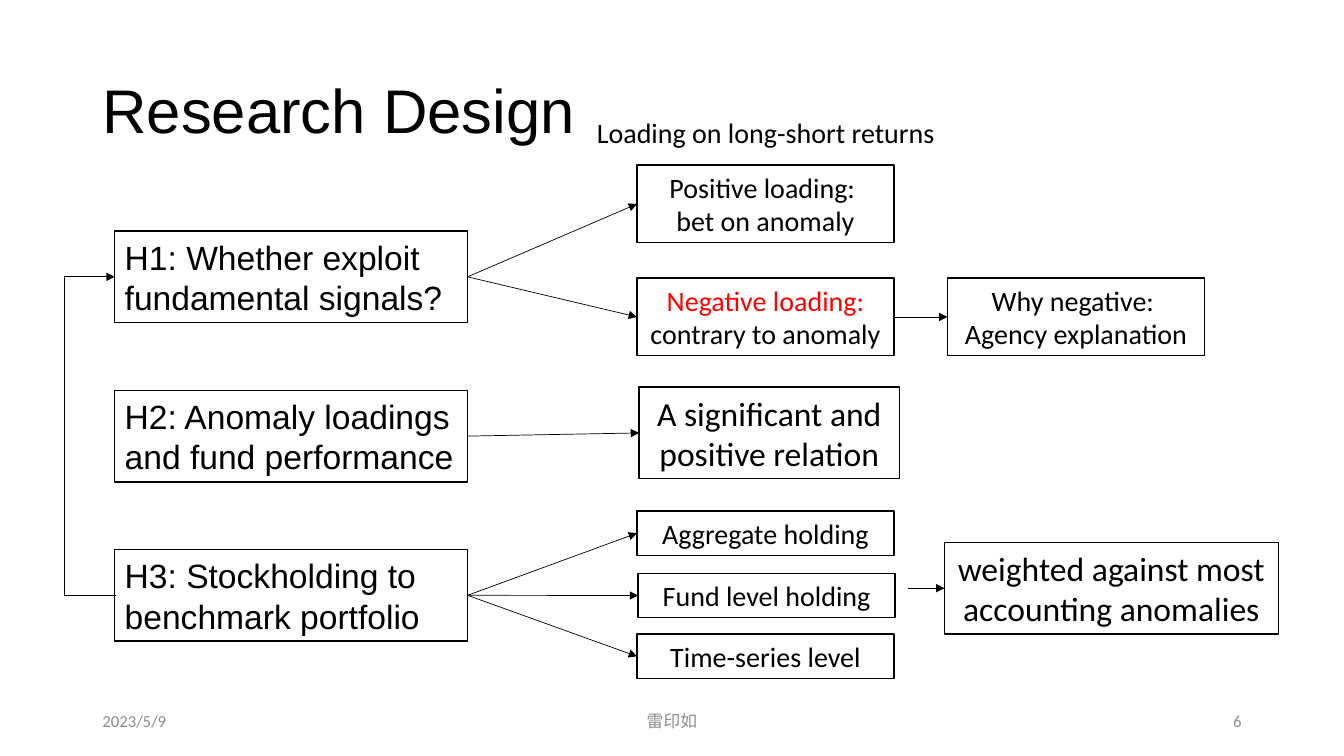
from pptx import Presentation
from pptx.dml.color import RGBColor
from pptx.enum.shapes import MSO_CONNECTOR, MSO_SHAPE
from pptx.enum.text import MSO_ANCHOR, PP_ALIGN
from pptx.oxml.ns import qn
from pptx.util import Pt
from lxml import etree

LEFT, MID, RIGHT = PP_ALIGN.LEFT, PP_ALIGN.CENTER, PP_ALIGN.RIGHT
RECT = MSO_SHAPE.RECTANGLE
LINE, ELBOW = MSO_CONNECTOR.STRAIGHT, MSO_CONNECTOR.ELBOW
CENTRE = MSO_ANCHOR.MIDDLE
BLACK, WHITE, RED, GRAY = "000000", "FFFFFF", "FF0000", "8C8C8C"

TITLE = "Research Design"
HEAD = "Loading on long-short returns"
FOOT = [
    ("2023/5/9", 66, 216, LEFT),
    ("雷印如", 318, 324, MID),
    ("6", 678, 216, RIGHT),
]
HYPO = {
    "h1": "H1: Whether exploit fundamental signals?",
    "h2": "H2: Anomaly loadings and fund performance",
    "h3": "H3: Stockholding to benchmark portfolio",
}
NOTES = {
    "pos": (455, 118, [[("Positive loading: ", BLACK)], [("bet on anomaly", BLACK)]]),
    "neg": (455, 198.7, [[("Negative loading: ", RED), ("contrary to anomaly", BLACK)]]),
    "why": (676.8, 198.7, [[("Why negative: ", BLACK)], [("Agency explanation", BLACK)]]),
}
LEVELS = {
    "agg": (455, 365, "Aggregate holding"),
    "fund": (455.8, 409.5, "Fund level holding"),
    "time": (455, 453, "Time-series level"),
}
FINDS = {
    "rel": (456.5, 276.5, 186, "A significant and positive relation"),
    "wt": (674.6, 387.4, 238.5, "weighted against most accounting anomalies"),
}
LINKS = [("h1", "pos"), ("h1", "neg"), ("neg", "why"), ("h2", "rel"),
         ("h3", "agg"), ("h3", "fund"), ("h3", "time")]
HYPO_X, HYPO_Y, HYPO_W, STEP = 82, 165, 252, 113.75
TALL, PAIR, LOW, NOTE_W = 65.5, 55.4, 31.7, 183.6
LOOP_X = 46


def tint(code):
    return RGBColor.from_string(code)


def write(shape, paras, size, face, align):
    frame = shape.text_frame
    frame.word_wrap = True
    frame.vertical_anchor = CENTRE
    for i, runs in enumerate(paras):
        para = frame.paragraphs[0] if i == 0 else frame.add_paragraph()
        para.alignment = align
        for text, color in runs:
            run = para.add_run()
            run.text = text
            for key, val in {"size": Pt(size), "name": face}.items():
                setattr(run.font, key, val)
            run.font.color.rgb = tint(color)


def label(slide, area, text, size, align, color):
    box = slide.shapes.add_textbox(*map(Pt, area))
    write(box, [[(text, color)]], size, "Calibri", align)


def panel(slide, area, paras, size, face, align):
    box = slide.shapes.add_shape(RECT, *map(Pt, area))
    box.shadow.inherit = False
    box.fill.solid()
    box.fill.fore_color.rgb = tint(WHITE)
    box.line.color.rgb = tint(BLACK)
    box.line.width = Pt(1)
    write(box, paras, size, face, align)
    return box


def arrow(slide, kind, *ends):
    link = slide.shapes.add_connector(kind, *map(Pt, ends))
    link.line.color.rgb = tint(BLACK)
    link.line.width = Pt(0.5)
    tip = etree.SubElement(link.line._get_or_add_ln(), qn("a:tailEnd"))
    tip.set("type", "triangle")
    etree.SubElement(link._element.spPr, qn("a:effectLst"))
    return link


def main():
    deck = Presentation()
    deck.slide_width, deck.slide_height = Pt(960), Pt(540)
    slide = deck.slides.add_slide(deck.slide_layouts[5])

    title = slide.shapes.title
    spot = {"left": 66, "top": 28.75, "width": 828, "height": 104.4}
    for key, val in spot.items():
        setattr(title, key, Pt(val))
    write(title, [[(TITLE, BLACK)]], 44, "Arial", LEFT)
    title.text_frame.paragraphs[0].line_spacing = 0.9

    for text, x, w, align in FOOT:
        label(slide, (x, 500.5, w, 28.75), text, 12, align, GRAY)
    label(slide, (417.5, 78.8, 259, 31.5), HEAD, 20, MID, BLACK)

    boxes = {}
    for i, (key, text) in enumerate(HYPO.items()):
        area = (HYPO_X, HYPO_Y + i * STEP, HYPO_W, TALL)
        boxes[key] = panel(slide, area, [[(text, BLACK)]], 24, "Arial", LEFT)
    for key, (x, y, paras) in NOTES.items():
        boxes[key] = panel(slide, (x, y, NOTE_W, PAIR), paras, 20, "Calibri", MID)
    for key, (x, y, text) in LEVELS.items():
        boxes[key] = panel(slide, (x, y, NOTE_W, LOW), [[(text, BLACK)]], 20, "Calibri", MID)
    for key, (x, y, w, text) in FINDS.items():
        boxes[key] = panel(slide, (x, y, w, TALL), [[(text, BLACK)]], 24, "Calibri", MID)

    for start, end in LINKS:
        link = arrow(slide, LINE, 0, 0, 0, 0)
        link.begin_connect(boxes[start], 3)
        link.end_connect(boxes[end], 1)

    x, y, w, text = FINDS["wt"]
    link = arrow(slide, LINE, 648.7, y + TALL / 2, x, y + TALL / 2)
    link.end_connect(boxes["wt"], 1)

    top = HYPO_Y + TALL / 2
    loop = arrow(slide, ELBOW, HYPO_X + 1, top + 2 * STEP, HYPO_X, top)
    bend = etree.SubElement(loop._element.spPr.prstGeom.get_or_add_avLst(), qn("a:gd"))
    bend.set("name", "adj1")
    bend.set("fmla", f"val {(HYPO_X + 1 - LOOP_X) * 100000}")

    deck.save("out.pptx")


if __name__ == "__main__":
    main()
